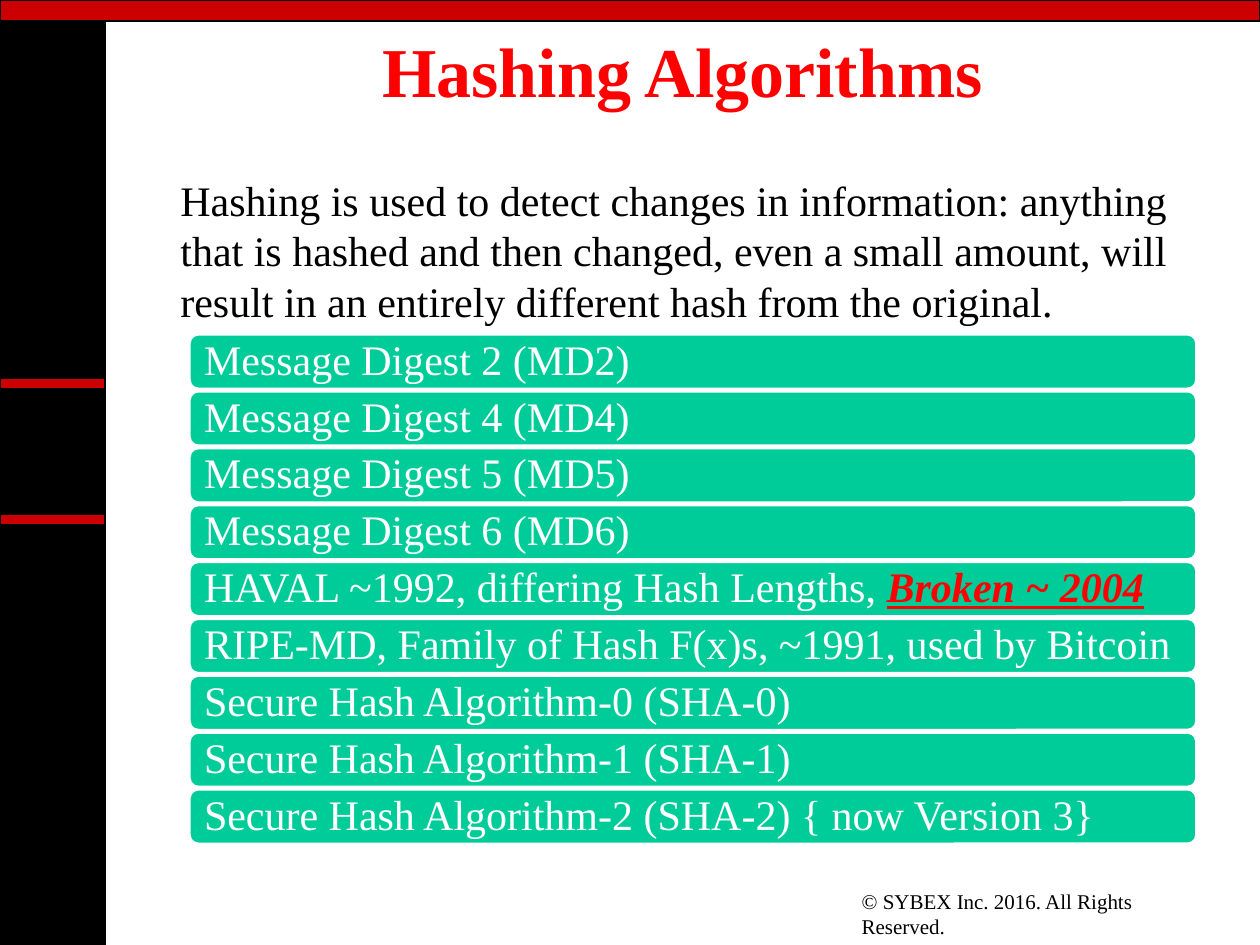
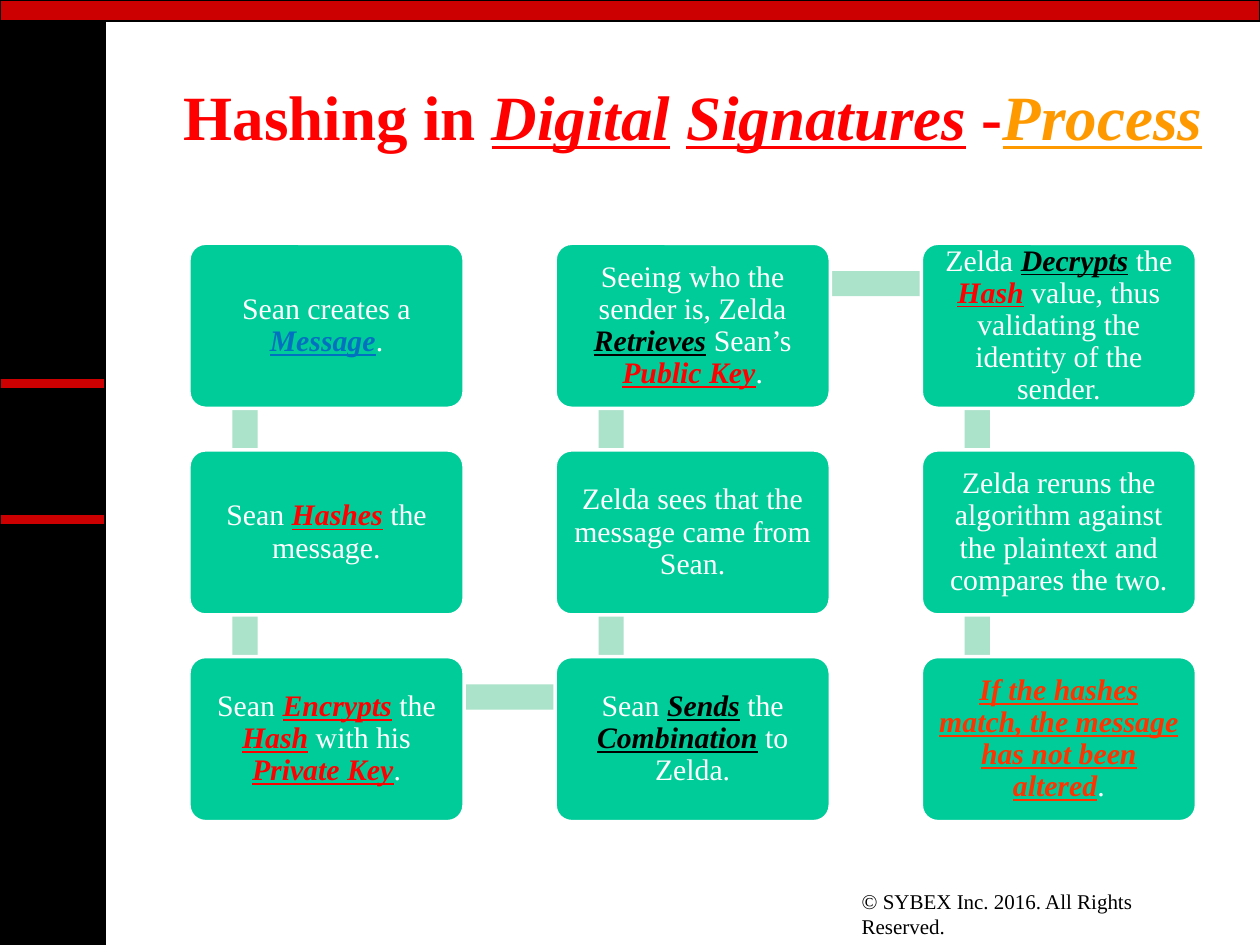
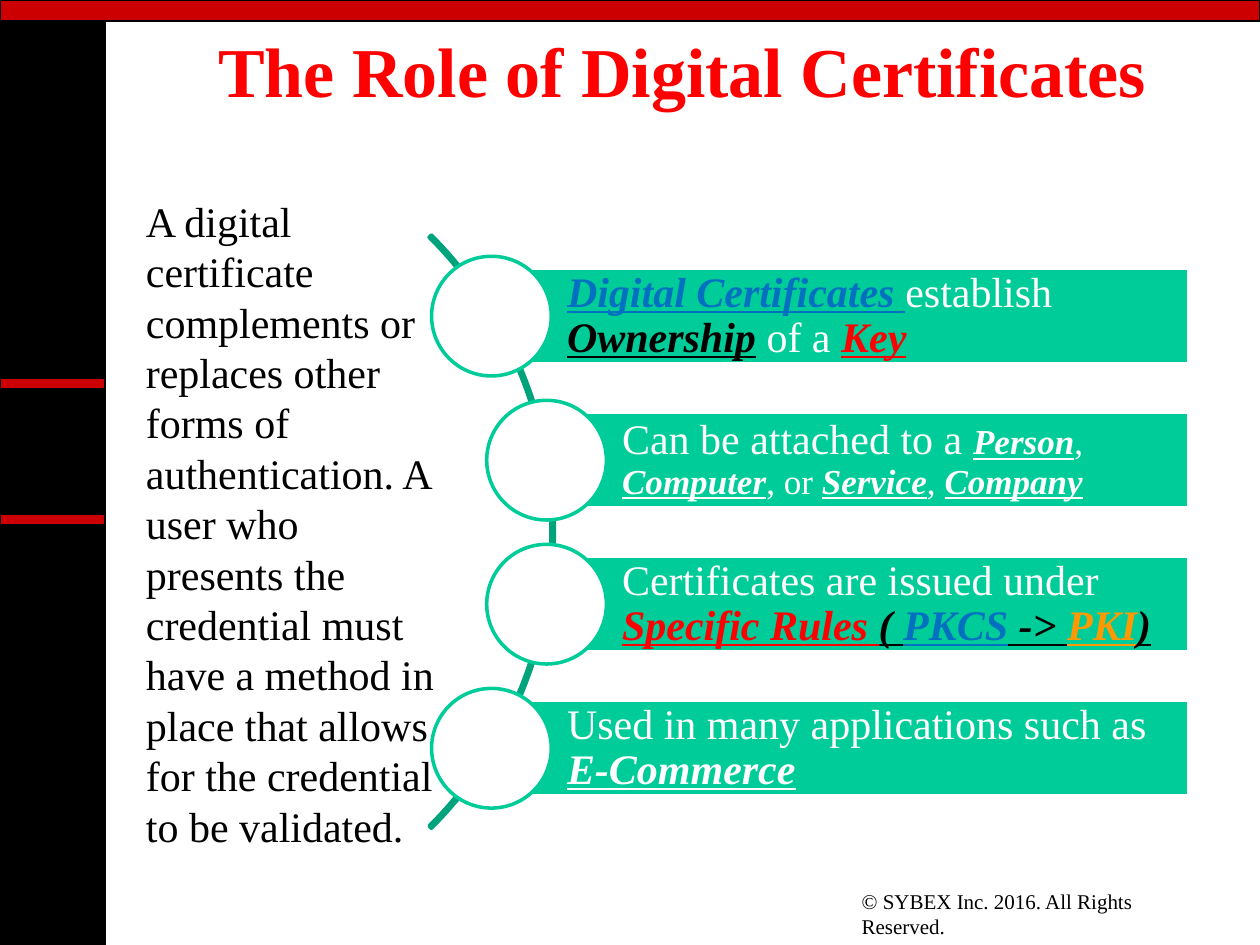
import dataclasses
import typing

import pptx
import pptx.dml.color
import pptx.enum.shapes
import pptx.enum.text
import pptx.util

Pt = pptx.util.Pt
Kind = pptx.enum.shapes.MSO_SHAPE
Align = pptx.enum.text.PP_ALIGN
Anchor = pptx.enum.text.MSO_ANCHOR

FACE = "Times New Roman"
HUES = {
    "black": "000000",
    "white": "FFFFFF",
    "crimson": "CC0000",
    "red": "FF0000",
    "ember": "FF3300",
    "orange": "FF9900",
    "blue": "0070C0",
    "green": "00CC99",
    "mint": "ABE2CA",
    "teal": "00A37B",
}


class Box(typing.NamedTuple):
    left: float
    top: float
    wide: float
    high: float


@dataclasses.dataclass
class Run:
    """Words that stand out: bold, italic and underlined if loud."""
    text: str
    hue: str = "white"
    size: float = 0
    loud: bool = True


@dataclasses.dataclass
class Style:
    size: float
    hue: str = "white"
    bold: bool = False
    align: Align = Align.LEFT
    anchor: Anchor = Anchor.MIDDLE
    space: float = 1
    pads: tuple = (7.2, 3.6, 7.2, 3.6)


Words = list[str | Run]

HEAD = Style(40, "red", True, Align.CENTER)
BODY = Style(24, "black", anchor=Anchor.TOP)
NOTE = Style(12, "black", anchor=Anchor.TOP)
ROW = Style(24, space=0.9, pads=(7.2,) * 4)
CARD = Style(17, align=Align.CENTER, space=0.9, pads=(5,) * 4)
BAR = Style(24, space=0.9, pads=(43.2, 5, 5, 5))

TOP = Box(84, 21.6, 612, 36)

HASHES: list[Words] = [
    ["Message Digest 2 (MD2)"],
    ["Message Digest 4 (MD4)"],
    ["Message Digest 5 (MD5)"],
    ["Message Digest 6 (MD6)"],
    ["HAVAL ~1992, differing Hash Lengths, ", Run("Broken ~ 2004", "red")],
    ["RIPE-MD, Family of Hash F(x)s, ~1991, used by Bitcoin"],
    ["Secure Hash Algorithm-0 (SHA-0)"],
    ["Secure Hash Algorithm-1 (SHA-1)"],
    ["Secure Hash Algorithm-2 (SHA-2) { now Version 3}"],
]

STEPS: list[Words] = [
    ["Sean creates a ", Run("Message", "blue"), "."],
    ["Sean ", Run("Hashes", "red"), " the message."],
    ["Sean ", Run("Encrypts", "red"), " the ", Run("Hash", "red"),
     " with his ", Run("Private Key", "red"), "."],
    ["Sean ", Run("Sends", "black"), " the ", Run("Combination", "black"),
     " to Zelda."],
    ["Zelda sees that the message came from Sean."],
    ["Seeing who the sender is, Zelda ", Run("Retrieves", "black"),
     " Sean’s ", Run("Public Key", "red"), "."],
    ["Zelda ", Run("Decrypts", "black"), " the ", Run("Hash", "red"),
     " value, thus validating the identity of the sender."],
    ["Zelda reruns the algorithm against the plaintext and compares the two."],
    [Run("If the hashes match, the message has not been altered", "ember"),
     "."],
]

ROLES: list[Words] = [
    [Run("Digital Certificates ", "blue"), "establish ",
     Run("Ownership", "black"), " of a ", Run("Key", "red")],
    ["Can be attached to a ", Run("Person", size=20),
     Run(", ", size=20, loud=False), Run("Computer", size=20),
     Run(", or ", size=20, loud=False), Run("Service", size=20),
     Run(", ", size=20, loud=False), Run("Company", size=20)],
    ["Certificates are issued under ", Run("Specific Rules ", "red"),
     Run("( ", "black"), Run("PKCS", "blue"), Run(" -> ", "black"),
     Run("PKI", "orange"), Run(")", "black")],
    ["Used in many applications such as ", Run("E-Commerce")],
]


def tint(name: str) -> pptx.dml.color.RGBColor:
    return pptx.dml.color.RGBColor.from_string(HUES[name])


def write(shape, words: Words, style: Style) -> None:
    frame = shape.text_frame
    frame.word_wrap = True
    frame.vertical_anchor = style.anchor
    (frame.margin_left, frame.margin_top,
     frame.margin_right, frame.margin_bottom) = map(Pt, style.pads)
    para = frame.paragraphs[0]
    para.alignment = style.align
    para.line_spacing = style.space
    font = para.font
    font.name, font.size, font.bold = FACE, Pt(style.size), style.bold
    font.color.rgb = tint(style.hue)
    for word in words:
        run = para.add_run()
        if isinstance(word, str):
            run.text = word
            continue
        run.text = word.text
        run.font.color.rgb = tint(word.hue)
        if word.size:
            run.font.size = Pt(word.size)
        if word.loud:
            run.font.bold = run.font.italic = run.font.underline = True


def label(slide, box: Box, words: Words, style: Style) -> None:
    write(slide.shapes.add_textbox(*map(Pt, box)), words, style)


def draw(slide, kind: Kind, box: Box, fill: str, edge: str = "",
         thick: float = 2):
    shape = slide.shapes.add_shape(kind, *map(Pt, box))
    shape.shadow.inherit = False
    shape.fill.solid()
    shape.fill.fore_color.rgb = tint(fill)
    if edge:
        shape.line.color.rgb = tint(edge)
        shape.line.width = Pt(thick)
    else:
        shape.line.fill.background()
    return shape


def start(deck, title: Words, box: Box = TOP, style: Style = HEAD):
    """Add a slide with the shared bands, footer and title."""
    slide = deck.slides.add_slide(deck.slide_layouts[6])
    for band, fill in (
        (Box(0, 0, 60, 540), "black"),
        (Box(0, 294, 60, 6), "crimson"),
        (Box(0, 0, 720, 12), "crimson"),
        (Box(0, 216, 60, 6), "crimson"),
    ):
        draw(slide, Kind.RECTANGLE, band, fill, "black", 0.75)
    label(slide, Box(485.3, 504, 211.7, 21.6),
          ["© SYBEX Inc. 2016. All Rights Reserved."], NOTE)
    label(slide, box, title, style)
    return slide


def hashing(deck) -> None:
    slide = start(deck, ["Hashing Algorithms"])
    for i, words in enumerate(HASHES):
        box = Box(108, 190.8 + 32.5 * i, 576, 31.7)
        row = draw(slide, Kind.ROUNDED_RECTANGLE, box, "green", "white")
        write(row, words, ROW)
    label(slide, Box(96, 96, 612, 94.3), [
        "Hashing is used to detect changes in information: anything that is "
        "hashed and then changed, even a small amount, will result in an "
        "entirely different hash from the original."], BODY)


def process(deck) -> None:
    slide = start(
        deck,
        ["Hashing in ", Run("Digital", "red"), " ", Run("Signatures", "red"),
         " -", Run("Process", "orange")],
        Box(90, 48, 612, 36), dataclasses.replace(HEAD, size=36))
    across, down, count = 209.25, 118.1, 3
    cards = []
    for i in range(len(STEPS)):
        col, row = divmod(i, count)
        if col % 2:
            row = count - 1 - row
        cards.append(Box(108 + across * col, 139 + down * row, 157.2, 94.3))
    for one, two in zip(cards, cards[1:]):
        left, top = min(one.left, two.left), min(one.top, two.top)
        if one.left == two.left:
            link = Box(left + 24.8, top + 23.4, 14.4, down)
        else:
            link = Box(left + 32.4, top + 15.9, across, 14.4)
        draw(slide, Kind.RECTANGLE, link, "mint")
    for box, words in zip(cards, STEPS):
        card = draw(slide, Kind.ROUNDED_RECTANGLE, box, "green", "white")
        card.adjustments[0] = 0.1
        write(card, words, CARD)


def roles(deck) -> None:
    slide = start(deck, ["The Role of Digital Certificates"])
    arc = draw(slide, Kind.BLOCK_ARC, Box(-162.7, 64.1, 479.5, 479.5),
               "teal", "teal")
    for i, value in enumerate((189, 27, 0.004)):
        arc.adjustments[i] = value
    right, high, ring = 679.2, 54.9, 68.4
    for i, words in enumerate(ROLES):
        left = 312.3 if i in (1, 2) else 280.8
        top = 153.2 + 82.3 * i
        bar = draw(slide, Kind.RECTANGLE, Box(left, top, right - left, high),
                   "green", "white")
        write(bar, words, BAR)
        draw(slide, Kind.OVAL,
             Box(left - ring / 2, top + (high - ring) / 2, ring, ring),
             "white", "green")
    label(slide, Box(76.3, 108, 180, 385.2), [
        "A digital certificate complements or replaces other forms of "
        "authentication. A user who presents the credential must have a "
        "method in place that allows for the credential to be validated."],
        BODY)


def main() -> None:
    deck = pptx.Presentation()
    deck.slide_width, deck.slide_height = Pt(720), Pt(540)
    hashing(deck)
    process(deck)
    roles(deck)
    deck.save("out.pptx")


if __name__ == "__main__":
    main()
